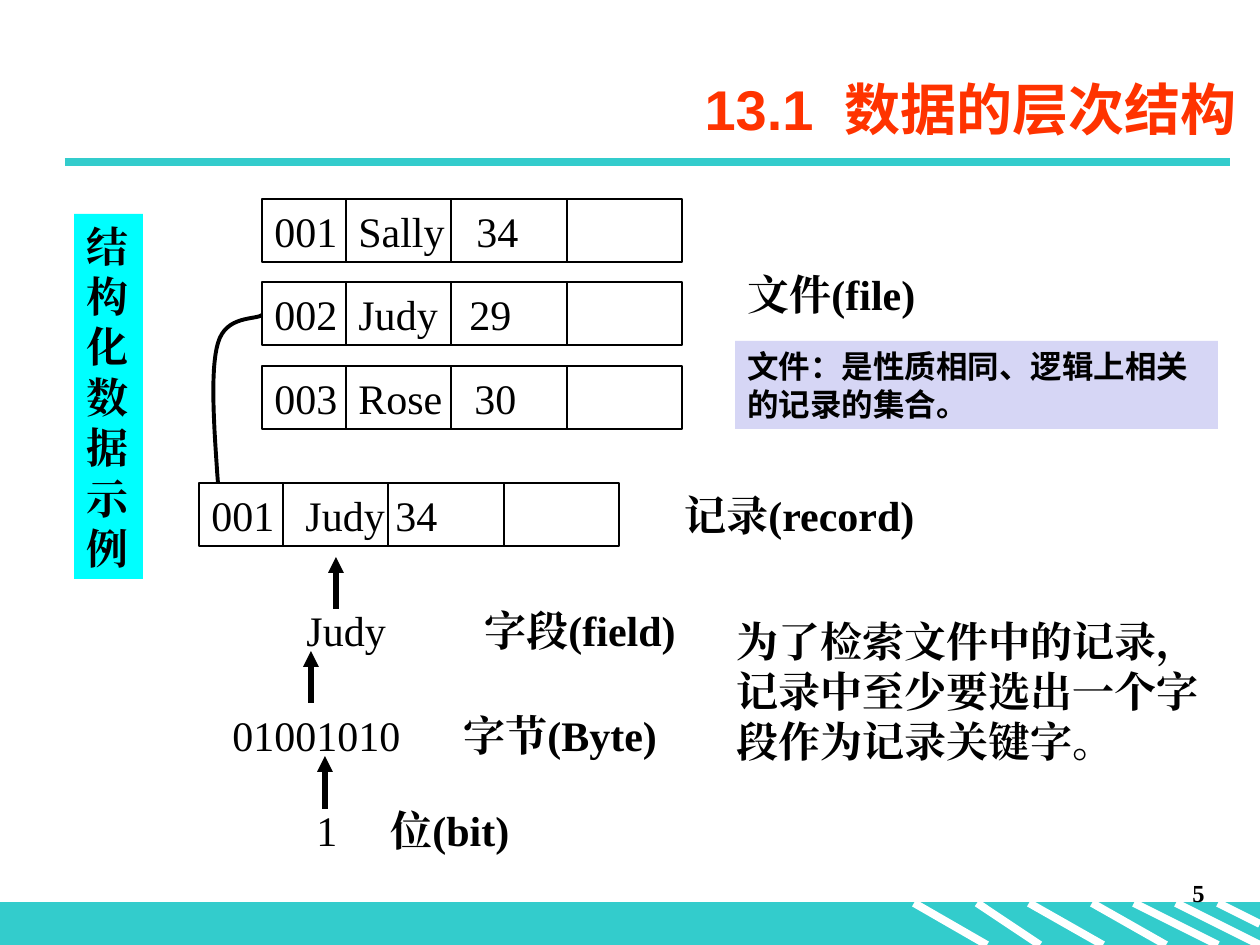
from lxml.etree import SubElement
from pptx import Presentation
from pptx.dml.color import RGBColor
from pptx.enum.shapes import MSO_CONNECTOR, MSO_SHAPE
from pptx.enum.text import MSO_ANCHOR, PP_ALIGN
from pptx.oxml.ns import qn
from pptx.util import Pt

PX = 914400 / 126
BLACK = RGBColor(0, 0, 0)
WHITE = RGBColor(255, 255, 255)
TEAL = RGBColor(0x33, 0xCC, 0xCC)
RED = RGBColor(0xFF, 0x33, 0)
CYAN = RGBColor(0, 0xFF, 0xFF)
LAVENDER = RGBColor(0xD6, 0xD6, 0xF5)
SERIF, SANS = "Times New Roman", "Arial"

TITLE = "13.1  数据的层次结构"
# left, top, field values, tab stops from the text edge
RECORDS = [
    (262, 199, ("001", "Sally", "34"), (84, 202)),
    (262, 282, ("002", "Judy", "29"), (84, 195)),
    (262, 366, ("003", "Rose", "30"), (84, 200)),
    (199, 483, ("001", "Judy", "34"), (94, 184)),
]
RECORD_SIZE = (420, 63)
DIVIDERS = (84, 189, 305)
# left, top, width, text
LEVELS = [
    (735, 262, 223, "文件(file)"),
    (672, 483, 266, "记录(record)"),
    (472, 598, 247, "字段(field)"),
    (451, 703, 258, "字节(Byte)"),
    (378, 798, 213, "位(bit)"),
]
VALUES = [
    (294, 598, 147, "Judy"),
    (220, 703, 210, "01001010"),
    (304, 798, 64, "1"),
]
NOTE = "为了检索文件中的记录，记录中至少要选出一个字段作为记录关键字。"
SIDE_LABEL = "结构化数据示例"
DEFINITION = "文件：是性质相同、逻辑上相关的记录的集合。"
ARROWS = [(336, 609, 557), (311, 703, 651), (325, 809, 756)]  # x, from y, to y
LINK = [
    ((218, 483), (214, 427), (210, 370), (218, 343)),
    ((218, 343), (226, 315), (256, 320), (262, 315)),
]
FOOTER_TOP, SLIDE_W, SLIDE_H = 903, 1260, 945
STRIPES = [(914, 987, 945), (977, 1040, 945), (1029, 1103, 945), (1092, 1166, 945),
           (1134, 1218, 945), (1176, 1260, 945), (1218, 1260, 924)]  # x1, x2, y2


def emu(*lengths):
    return [round(v * PX) for v in lengths]


def write(shape, text, size=24, font=SERIF, color=BLACK, bold=False,
          align=PP_ALIGN.LEFT, anchor=MSO_ANCHOR.TOP, tabs=()):
    tf = shape.text_frame
    tf.word_wrap = True
    tf.vertical_anchor = anchor
    p = tf.paragraphs[0]
    p.alignment = align
    p.space_before = Pt(0)
    if tabs:
        tab_list = SubElement(p._p.get_or_add_pPr(), qn("a:tabLst"))
        for stop in emu(*tabs):
            SubElement(tab_list, qn("a:tab"), pos=str(stop), algn="l")
    r = p.add_run()
    r.text = text
    r.font.size, r.font.name, r.font.bold = Pt(size), font, bold
    r.font.color.rgb = color
    ea = SubElement(r._r.get_or_add_rPr(), qn("a:ea"))
    ea.set("typeface", font)


def add_text(s, box, text, **fmt):
    write(s.shapes.add_textbox(*emu(*box)), text, **fmt)


def add_rect(s, box, fill=None, line=None):
    sp = s.shapes.add_shape(MSO_SHAPE.RECTANGLE, *emu(*box))
    sp.shadow.inherit = False
    if fill is None:
        sp.fill.background()
    else:
        sp.fill.solid()
        sp.fill.fore_color.rgb = fill
    if line is None:
        sp.line.fill.background()
    else:
        sp.line.color.rgb = line
        sp.line.width = Pt(0.75)
    return sp


def add_line(s, ends, color=BLACK, width=0.75, arrow=False):
    c = s.shapes.add_connector(MSO_CONNECTOR.STRAIGHT, *emu(*ends))
    c.line.color.rgb = color
    c.line.width = Pt(width)
    if arrow:
        SubElement(c.line._get_or_add_ln(), qn("a:tailEnd"), type="triangle")
    SubElement(c._element.spPr, qn("a:effectLst"))


def add_record(s, left, top, fields, tabs):
    w, h = RECORD_SIZE
    write(add_rect(s, (left, top, w, h), line=BLACK), "\t".join(fields), tabs=tabs)
    for dx in DIVIDERS:
        add_line(s, (left + dx, top, left + dx, top + h))


def bezier(curve, t):
    weights = ((1 - t) ** 3, 3 * t * (1 - t) ** 2, 3 * t * t * (1 - t), t ** 3)
    return tuple(sum(w * pt[axis] for w, pt in zip(weights, curve)) for axis in (0, 1))


def add_link(s, curves, steps=16):
    points = [bezier(c, i / steps) for c in curves for i in range(1, steps + 1)]
    fb = s.shapes.build_freeform(*emu(*curves[0][0]))
    fb.add_line_segments([emu(*pt) for pt in points], close=False)
    sp = fb.convert_to_shape()
    sp.shadow.inherit = False
    sp.fill.background()
    sp.line.color.rgb = BLACK
    sp.line.width = Pt(2.25)


def main():
    prs = Presentation()
    prs.slide_width, prs.slide_height = emu(SLIDE_W, SLIDE_H)
    s = prs.slides.add_slide(prs.slide_layouts[5])

    add_rect(s, (0, FOOTER_TOP, SLIDE_W, SLIDE_H - FOOTER_TOP), TEAL, TEAL)
    for x1, x2, y2 in STRIPES:
        add_line(s, (x1, FOOTER_TOP, x2, y2), WHITE, 4.5)
    add_line(s, (65, 162, 1230, 162), TEAL, 4.5)
    add_text(s, (955, 872, 262, 63), "5", size=14, bold=True, align=PP_ALIGN.RIGHT)

    title = s.shapes.title
    title.left, title.top, title.width, title.height = emu(179, 32, 1071, 152)
    write(title, TITLE, size=32, font=SANS, color=RED, bold=True,
          align=PP_ALIGN.RIGHT, anchor=MSO_ANCHOR.MIDDLE)

    for record in RECORDS:
        add_record(s, *record)
    for items, bold in ((LEVELS, True), (VALUES, False)):
        for left, top, width, text in items:
            add_text(s, (left, top, width, 63), text, bold=bold)
    for x, y1, y2 in ARROWS:
        add_line(s, (x, y1, x, y2), width=3, arrow=True)
    add_link(s, LINK)

    add_text(s, (724, 609, 494, 164), NOTE, bold=True)
    write(add_rect(s, (74, 214, 69, 365), CYAN), SIDE_LABEL, bold=True)
    write(add_rect(s, (735, 341, 483, 88), LAVENDER), DEFINITION,
          size=18, font=SANS, bold=True)
    prs.save("out.pptx")


if __name__ == "__main__":
    main()
